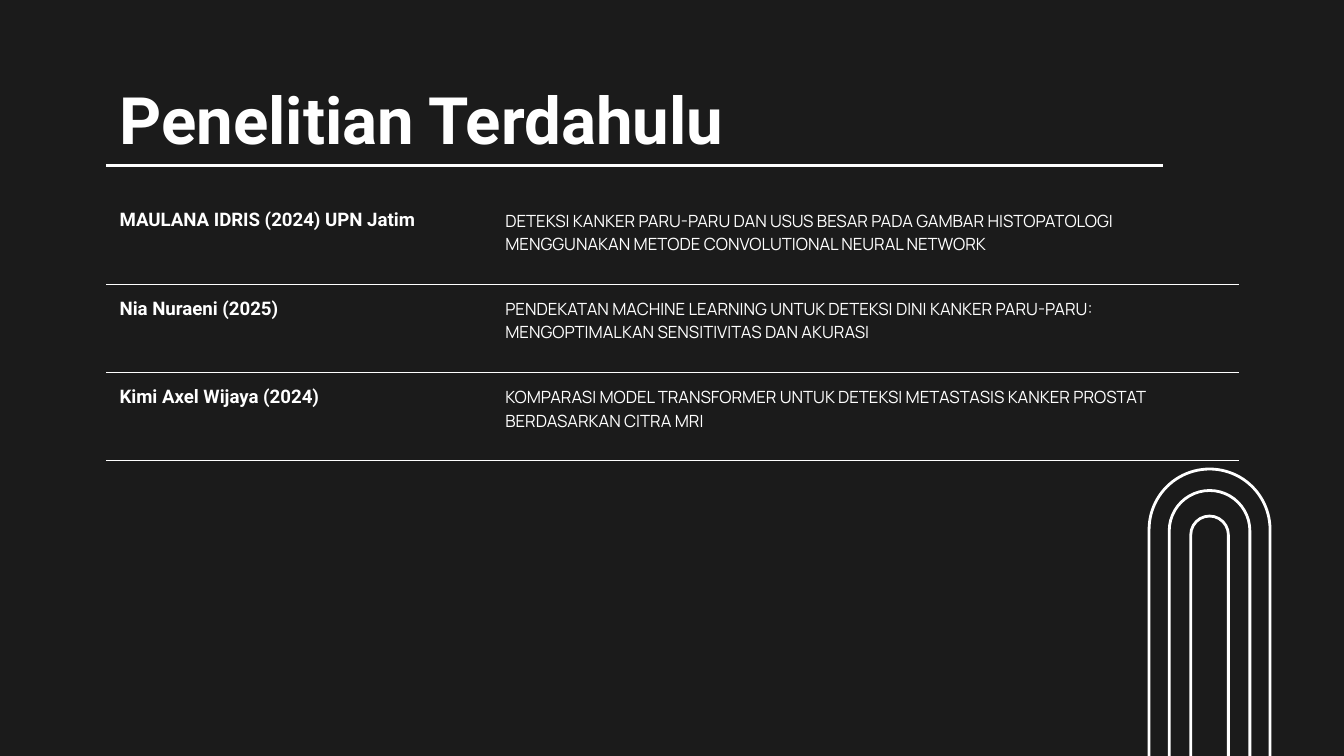
from dataclasses import dataclass
from lxml.etree import SubElement
from pptx import Presentation
from pptx.dml.color import RGBColor
from pptx.enum.shapes import MSO_CONNECTOR, MSO_SHAPE
from pptx.oxml.ns import qn
from pptx.util import Inches, Pt


@dataclass(frozen=True)
class Theme:
    dark: str = "1B1B1B"
    light: str = "FFFFFF"
    head: str = "Roboto"
    body: str = "Manrope"
    title: float = 35
    name: float = 10
    note: float = 9
    thin: float = 0.75
    thick: float = 1.5


@dataclass(frozen=True)
class Arch:
    left: float
    top: float
    width: float
    height: float


@dataclass(frozen=True)
class Study:
    author: str
    topic: str


THEME = Theme()
LEFT = 0.79
WIDTHS = (2.87, 5.56)
HEIGHT = 1.97
ARCHES = (
    Arch(8.55, 3.49, 0.9, 5.06),
    Arch(8.7, 3.65, 0.6, 4.9),
    Arch(8.86, 3.84, 0.28, 4.9),
)
STUDIES = (
    Study("MAULANA IDRIS (2024) UPN Jatim",
          "DETEKSI KANKER PARU-PARU DAN USUS BESAR PADA GAMBAR HISTOPATOLOGI "
          "MENGGUNAKAN METODE CONVOLUTIONAL NEURAL NETWORK"),
    Study("Nia Nuraeni (2025)",
          "PENDEKATAN MACHINE LEARNING UNTUK DETEKSI DINI KANKER PARU-PARU: "
          "MENGOPTIMALKAN SENSITIVITAS DAN AKURASI"),
    Study("Kimi Axel Wijaya (2024)",
          "KOMPARASI MODEL TRANSFORMER UNTUK DETEKSI METASTASIS KANKER PROSTAT "
          "BERDASARKAN CITRA MRI"),
)


def write(frame, text: str, *, size: float, font: str, bold: bool = False,
          after: float = 0) -> None:
    frame.word_wrap = True
    para = frame.paragraphs[0]
    para.space_after = Pt(after)
    run = para.add_run()
    run.text = text
    run.font.size = Pt(size)
    run.font.name = font
    run.font.bold = bold
    run.font.color.rgb = RGBColor.from_string(THEME.light)


def pad(box) -> None:
    box.margin_left = box.margin_right = Inches(0.1)
    box.margin_top = box.margin_bottom = Inches(0.1)


def stroke(line) -> None:
    line.color.rgb = RGBColor.from_string(THEME.light)
    line.width = Pt(THEME.thick)


def draw_arch(slide, arch: Arch) -> None:
    shape = slide.shapes.add_shape(
        MSO_SHAPE.ROUND_2_SAME_RECTANGLE, Inches(arch.left), Inches(arch.top),
        Inches(arch.width), Inches(arch.height))
    shape.adjustments[0] = 0.5
    shape.adjustments[1] = 0
    shape.shadow.inherit = False
    shape.fill.background()
    stroke(shape.line)


def draw_title(slide, text: str) -> None:
    box = slide.shapes.add_textbox(
        Inches(LEFT), Inches(0.49), Inches(sum(WIDTHS)), Inches(0.63))
    pad(box.text_frame)
    write(box.text_frame, text, size=THEME.title, font=THEME.head, bold=True)


def draw_rule(slide) -> None:
    rule = slide.shapes.add_connector(
        MSO_CONNECTOR.STRAIGHT, Inches(LEFT), Inches(1.23), Inches(8.65), Inches(1.23))
    stroke(rule.line)
    SubElement(rule._element.spPr, qn("a:effectLst"))


def set_edges(cell, **colors: str) -> None:
    props = cell._tc.get_or_add_tcPr()
    for index, side in enumerate(("lnL", "lnR", "lnT", "lnB")):
        edge = props.makeelement(qn(f"a:{side}"), {"w": str(Pt(THEME.thin))})
        props.insert(index, edge)
        if side in colors:
            fill = SubElement(edge, qn("a:solidFill"))
            SubElement(fill, qn("a:srgbClr"), val=colors[side])
        else:
            SubElement(edge, qn("a:noFill"))


def draw_table(slide, studies: tuple[Study, ...]) -> None:
    table = slide.shapes.add_table(
        len(studies), len(WIDTHS), Inches(LEFT), Inches(1.46),
        Inches(sum(WIDTHS)), Inches(HEIGHT)).table
    table.first_row = table.horz_banding = False
    for column, width in zip(table.columns, WIDTHS):
        column.width = Inches(width)
    for index, (row, study) in enumerate(zip(table.rows, studies)):
        row.height = Inches(HEIGHT / len(studies))
        name, topic = row.cells
        rules = {"lnB": THEME.light}
        if index:
            rules["lnT"] = THEME.light
        for cell, inner in ((name, "lnR"), (topic, "lnL")):
            pad(cell)
            cell.fill.background()
            set_edges(cell, **rules, **{inner: THEME.dark})
        write(name.text_frame, study.author,
              size=THEME.name, font=THEME.head, bold=True)
        write(topic.text_frame, study.topic,
              size=THEME.note, font=THEME.body, after=16)


def main() -> None:
    deck = Presentation()
    deck.slide_width = Inches(10)
    deck.slide_height = deck.slide_width * 9 // 16
    slide = deck.slides.add_slide(deck.slide_layouts[6])
    back = slide.background.fill
    back.solid()
    back.fore_color.rgb = RGBColor.from_string(THEME.dark)
    for arch in ARCHES:
        draw_arch(slide, arch)
    draw_title(slide, "Penelitian Terdahulu")
    draw_table(slide, STUDIES)
    draw_rule(slide)
    deck.save("out.pptx")


if __name__ == "__main__":
    main()
